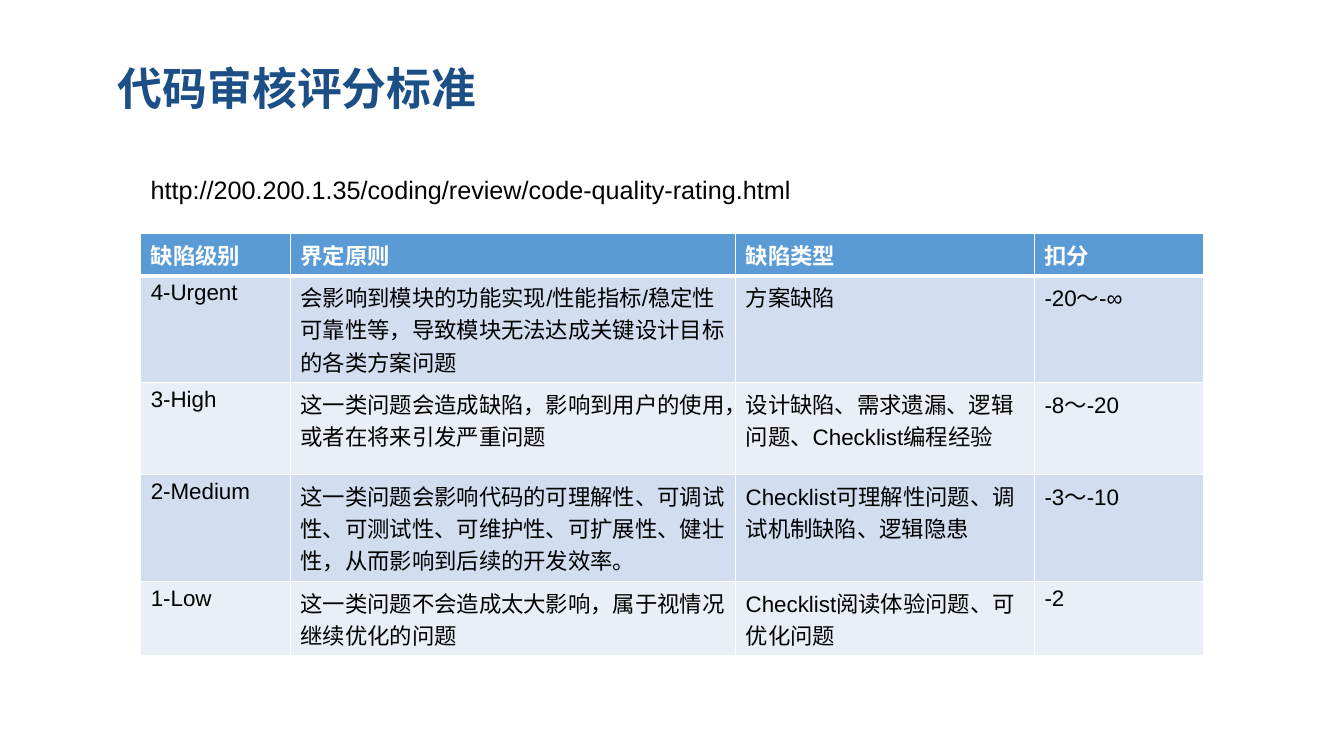
from lxml import etree
from pptx import Presentation
from pptx.dml.color import RGBColor
from pptx.enum import text
from pptx.oxml import ns
from pptx.util import Pt

COLORS = {
    "title": "1B4F85",
    "header": "5B9BD5",
    "odd": "D2DEEF",
    "even": "EAEFF7",
    "white": "FFFFFF",
    "black": "000000",
}
LATIN, CHINESE = "Arial", "Noto Sans CJK SC"


def style_text(frame, size, color, bold=False, latin=LATIN):
    for run in frame.paragraphs[0].runs:
        run.font.size = Pt(size)
        run.font.bold = bold
        run.font.name = latin
        run.font.color.rgb = RGBColor.from_string(COLORS[color])
        east_asian = etree.SubElement(run.font._element, ns.qn("a:ea"))
        east_asian.set("typeface", CHINESE)


def add_border(cell, side, width):
    """Draw one white cell edge; side is L, R, T or B. Call before filling."""
    line = etree.SubElement(cell._tc.get_or_add_tcPr(), ns.qn(f"a:ln{side}"))
    line.set("w", str(Pt(width)))
    fill = etree.SubElement(line, ns.qn("a:solidFill"))
    etree.SubElement(fill, ns.qn("a:srgbClr")).set("val", COLORS["white"])


prs = Presentation()
prs.slide_width, prs.slide_height = Pt(960), Pt(540)
slide = prs.slides.add_slide(prs.slide_layouts[6])

title = slide.shapes.add_textbox(Pt(84.2), Pt(47.5), Pt(864), Pt(34.6)).text_frame
title.margin_left = title.margin_right = title.margin_top = title.margin_bottom = 0
title.word_wrap = True
title.vertical_anchor = text.MSO_ANCHOR.MIDDLE
title.text = "代码审核评分标准"
title.paragraphs[0].line_spacing = 0.9
style_text(title, 32, "title", bold=True, latin=CHINESE)

ratings = [
    ("缺陷级别", "界定原则", "缺陷类型", "扣分"),
    ("4-Urgent",
     "会影响到模块的功能实现/性能指标/稳定性可靠性等，导致模块无法达成关键设计目标的各类方案问题",
     "方案缺陷", "-20～-∞"),
    ("3-High",
     "这一类问题会造成缺陷，影响到用户的使用，或者在将来引发严重问题",
     "设计缺陷、需求遗漏、逻辑问题、Checklist编程经验", "-8～-20"),
    ("2-Medium",
     "这一类问题会影响代码的可理解性、可调试性、可测试性、可维护性、可扩展性、健壮性，从而影响到后续的开发效率。",
     "Checklist可理解性问题、调试机制缺陷、逻辑隐患", "-3～-10"),
    ("1-Low",
     "这一类问题不会造成太大影响，属于视情况继续优化的问题",
     "Checklist阅读体验问题、可优化问题", "-2"),
]
column_widths = [107, 318, 213.5, 120.5]
row_heights = [30, 76.4, 65.5, 76.4, 53]

rating_table = slide.shapes.add_table(
    len(ratings), len(column_widths), Pt(100.5), Pt(167),
    Pt(sum(column_widths)), Pt(sum(row_heights))).table
for column, width in zip(rating_table.columns, column_widths):
    column.width = Pt(width)

for r, (row, height) in enumerate(zip(ratings, row_heights)):
    rating_table.rows[r].height = Pt(height)
    band = "header" if r == 0 else "odd" if r % 2 else "even"
    for c, wording in enumerate(row):
        cell = rating_table.cell(r, c)
        for side in "LRTB":
            thick = (r, side) in [(0, "B"), (1, "T")]
            add_border(cell, side, 3 if thick else 1)
        cell.fill.solid()
        cell.fill.fore_color.rgb = RGBColor.from_string(COLORS[band])
        cell.text_frame.text = wording
        style_text(cell.text_frame, 16, "black" if r else "white", bold=r == 0)

address = slide.shapes.add_textbox(Pt(100.5), Pt(121), Pt(610), Pt(29)).text_frame
address.word_wrap = True
address.text = "http://200.200.1.35/coding/review/code-quality-rating.html"
style_text(address, 18, "black")

prs.save("out.pptx")
